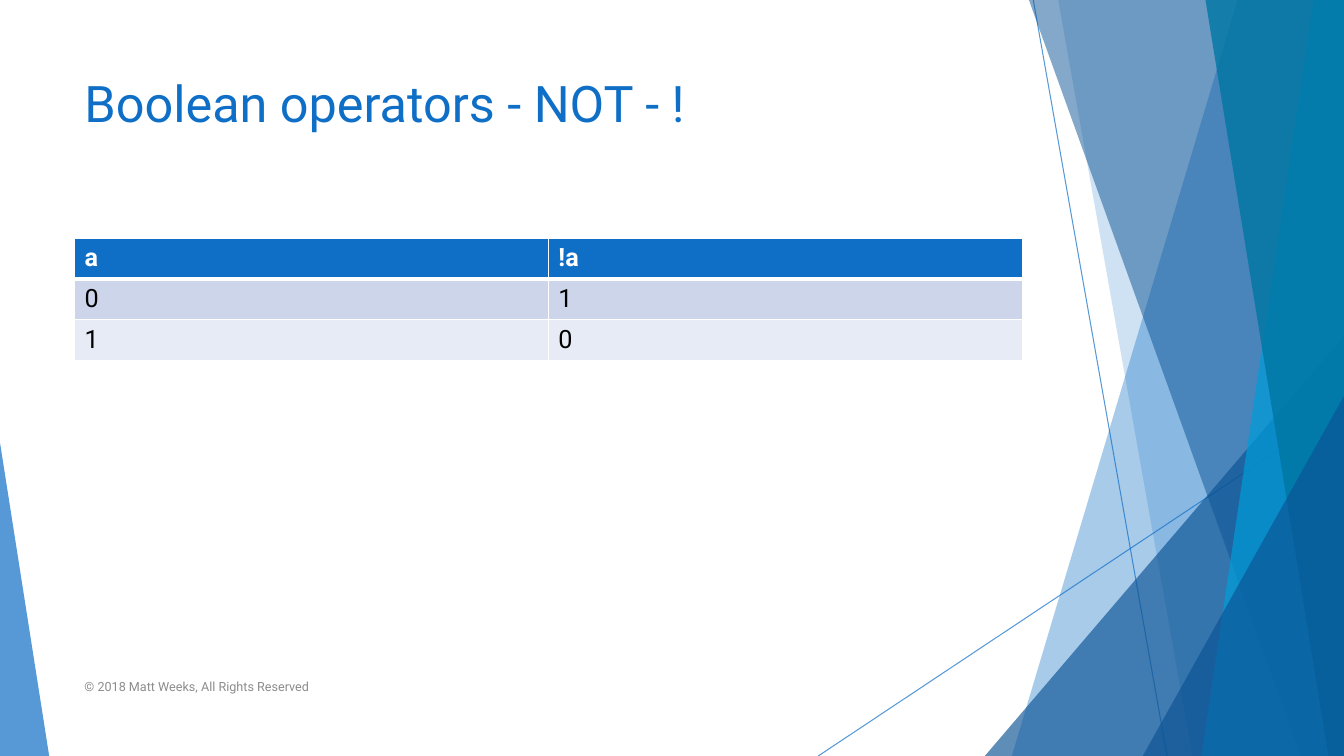
from dataclasses import dataclass

from lxml import etree
from pptx import Presentation
from pptx.dml.color import RGBColor
from pptx.enum.shapes import MSO_CONNECTOR, MSO_SHAPE
from pptx.enum.text import MSO_ANCHOR
from pptx.oxml.ns import qn
from pptx.util import Cm, Pt

STRAIGHT = MSO_CONNECTOR.STRAIGHT
TRIANGLE = MSO_SHAPE.ISOSCELES_TRIANGLE
TOP, MIDDLE = MSO_ANCHOR.TOP, MSO_ANCHOR.MIDDLE
WIDE, HIGH = 33.87, 19.05


@dataclass(frozen=True)
class Theme:
    font: str = "Roboto"
    blue: str = "0F6FC6"
    navy: str = "0B5394"
    cyan: str = "009DD9"
    teal: str = "0076A3"
    grey: str = "8C8C8C"
    white: str = "FFFFFF"
    black: str = "000000"
    bands: tuple = ("CCD5EA", "E7EBF5")
    title: int = 36
    body: int = 18
    small: int = 9


class Deck:
    def __init__(self, theme, slide):
        self.theme = theme
        self.shapes = slide.shapes

    def tint(self, fill, node, color, alpha):
        """Give a fill its colour and its opacity in percent."""
        fill.solid()
        fill.fore_color.rgb = RGBColor.from_string(color)
        mark = node.find(".//" + qn("a:srgbClr"))
        etree.SubElement(mark, qn("a:alpha"), val=str(alpha * 1000))

    def style(self, para, size, color, bold=False):
        font = para.font
        font.name, font.size, font.bold = self.theme.font, Pt(size), bold
        font.color.rgb = RGBColor.from_string(color)

    def line(self, x1, y1, x2, y2):
        line = self.shapes.add_connector(STRAIGHT, Cm(x1), Cm(y1), Cm(x2), Cm(y2))
        props = line._element.spPr
        line.line.width = Pt(0.75)
        self.tint(line.line.fill, props, self.theme.blue, 70)
        etree.SubElement(props, qn("a:effectLst"))

    def paint(self, shape, color, alpha):
        shape.shadow.inherit = False
        self.tint(shape.fill, shape._element.spPr, color, alpha)
        shape.line.fill.background()

    def facet(self, top, base, color, alpha):
        """Full-height panel from a slanted left side to the slide's right edge."""
        pen = self.shapes.build_freeform(Cm(top), 0)
        points = [(WIDE, 0), (WIDE, HIGH), (base, HIGH)]
        pen.add_line_segments([(Cm(x), Cm(y)) for x, y in points], close=True)
        self.paint(pen.convert_to_shape(), color, alpha)

    def wedge(self, x, y, width, tip, color, alpha):
        """Triangle that stands on the slide's bottom edge."""
        shape = self.shapes.add_shape(TRIANGLE, Cm(x), Cm(y), Cm(width), Cm(HIGH - y))
        shape.adjustments[0] = tip
        self.paint(shape, color, alpha)

    def text(self, x, y, width, height, words, size, color, anchor):
        frame = self.shapes.add_textbox(Cm(x), Cm(y), Cm(width), Cm(height)).text_frame
        frame.word_wrap = True
        frame.vertical_anchor = anchor
        frame.text = words
        self.style(frame.paragraphs[0], size, color)

    def edge(self, cell, side, width):
        line = etree.SubElement(cell._tc.get_or_add_tcPr(), qn("a:ln" + side), w=str(Pt(width)))
        fill = etree.SubElement(line, qn("a:solidFill"))
        etree.SubElement(fill, qn("a:srgbClr"), val=self.theme.white)

    def table(self, x, y, width, step, rows):
        look = self.theme
        count = len(rows[0])
        grid = self.shapes.add_table(
            len(rows), count, Cm(x), Cm(y), Cm(width), Cm(step * len(rows))).table
        for col in grid.columns:
            col.width = Cm(width / count)
        for r, row in enumerate(rows):
            head = r == 0
            back = look.blue if head else look.bands[(r - 1) % 2]
            grid.rows[r].height = Cm(step)
            for c, words in enumerate(row):
                cell = grid.cell(r, c)
                cell.text = words
                self.style(cell.text_frame.paragraphs[0], look.body,
                           look.white if head else look.black, head)
                # The rule under the header is thicker
                sides = {"L": 1, "R": 1, "T": 3 if r == 1 else 1, "B": 3 if head else 1}
                for side, size in sides.items():
                    self.edge(cell, side, size)
                cell.fill.solid()
                cell.fill.fore_color.rgb = RGBColor.from_string(back)


def main():
    prs = Presentation()
    prs.slide_width, prs.slide_height = Cm(WIDE), Cm(HIGH)
    look = Theme()
    deck = Deck(look, prs.slides.add_slide(prs.slide_layouts[6]))

    # Backdrop: thin lines, then panels from back to front
    deck.line(26.04, 0, 29.41, HIGH)
    deck.line(WIDE, 10.24, 20.62, HIGH)
    deck.facet(31.19, 25.5, look.blue, 36)
    deck.facet(26.67, 30.05, look.blue, 20)
    deck.wedge(24.82, 8.46, 9.05, 1, look.navy, 66)
    deck.facet(25.93, 32.79, look.navy, 50)
    deck.facet(33.1, 30.28, look.cyan, 70)
    deck.facet(30.38, 33.48, look.teal, 80)
    deck.wedge(28.8, 9.98, 5.07, 1, look.navy, 66)
    deck.wedge(0, 11.15, 1.24, 0, look.blue, 70)

    # Title, truth table and footer
    left, width = 1.88, 23.88
    deck.text(left, 1.7, width, 3.66, "Boolean operators - NOT - !",
              look.title, look.blue, TOP)
    deck.table(left, 6, width, 1.03, [("a", "!a"), ("0", "1"), ("1", "0")])
    deck.text(left, 16.79, 17.5, 1.02, "© 2018 Matt Weeks, All Rights Reserved",
              look.small, look.grey, MIDDLE)

    prs.save("out.pptx")


if __name__ == "__main__":
    main()
